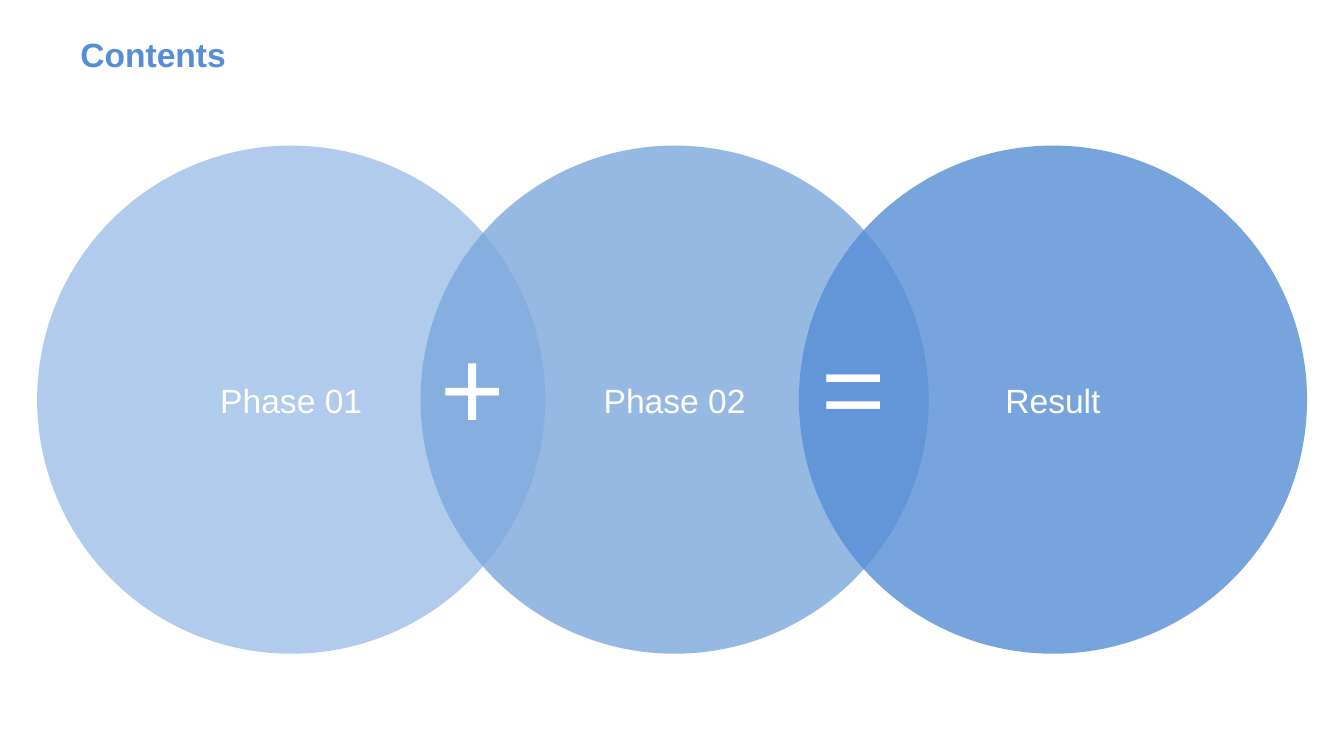
from pptx import Presentation
from pptx.dml.color import RGBColor
from pptx.enum.shapes import MSO_SHAPE as Shape
from pptx.enum.text import MSO_ANCHOR as Anchor, MSO_AUTO_SIZE as AutoSize, PP_ALIGN as Align
from pptx.oxml.ns import qn
from pptx.util import Pt
from lxml import etree

COLORS = {"phase 1": "9DBEE7", "phase 2": "7CA8DE", "result": "558ED5",
          "title": "558ED5", "white": "FFFFFF"}
CIRCLE_TOP, CIRCLE_SIZE = 78, 272.2
SIGN_TOP, SIGN_WIDTH, SIGN_HEIGHT = 168.5, 56.9, 79.9


def write(frame, text, size, color, font="Arial", bold=False):
    frame.text = text
    style = frame.paragraphs[0].runs[0].font
    style.name, style.size, style.bold = font, Pt(size), bold
    style.color.rgb = RGBColor.from_string(COLORS[color])


def add_title(slide, left, top, width, height, text):
    title = slide.shapes.add_textbox(Pt(left), Pt(top), Pt(width), Pt(height))
    title.text_frame.word_wrap = True
    title.text_frame.vertical_anchor = Anchor.MIDDLE
    write(title.text_frame, text, 18, "title", bold=True)


def add_circle(slide, left, top, size, label, color):
    """Add a labelled circle, 80 % opaque so that overlaps show."""
    circle = slide.shapes.add_shape(Shape.OVAL, Pt(left), Pt(top), Pt(size), Pt(size))
    circle.shadow.inherit = False
    circle.line.fill.background()
    circle.fill.solid()
    circle.fill.fore_color.rgb = RGBColor.from_string(COLORS[color])
    tint = circle.fill._xPr.find(qn("a:solidFill"))[0]
    etree.SubElement(tint, qn("a:alpha")).set("val", "80000")
    circle.text_frame.vertical_anchor = Anchor.MIDDLE
    write(circle.text_frame, label, 18, "white")
    circle.text_frame.paragraphs[0].alignment = Align.CENTER


def add_sign(slide, left, top, width, height, sign):
    box = slide.shapes.add_textbox(Pt(left), Pt(top), Pt(width), Pt(height))
    box.text_frame.word_wrap = False
    box.text_frame.auto_size = AutoSize.SHAPE_TO_FIT_TEXT
    write(box.text_frame, sign, 60, "white", font="Noto Sans CJK KR")


def main():
    deck = Presentation()
    deck.slide_width, deck.slide_height = Pt(720), Pt(405)
    slide = deck.slides.add_slide(deck.slide_layouts[6])

    add_title(slide, 36, 16.5, 447, 25.2, "Contents")
    for left, label, color in ((19.9, "Phase 01", "phase 1"),
                               (225.3, "Phase 02", "phase 2"),
                               (428, "Result", "result")):
        add_circle(slide, left, CIRCLE_TOP, CIRCLE_SIZE, label, color)
    for left, sign in ((229.7, "+"), (433.5, "=")):
        add_sign(slide, left, SIGN_TOP, SIGN_WIDTH, SIGN_HEIGHT, sign)

    deck.save("out.pptx")


if __name__ == "__main__":
    main()
